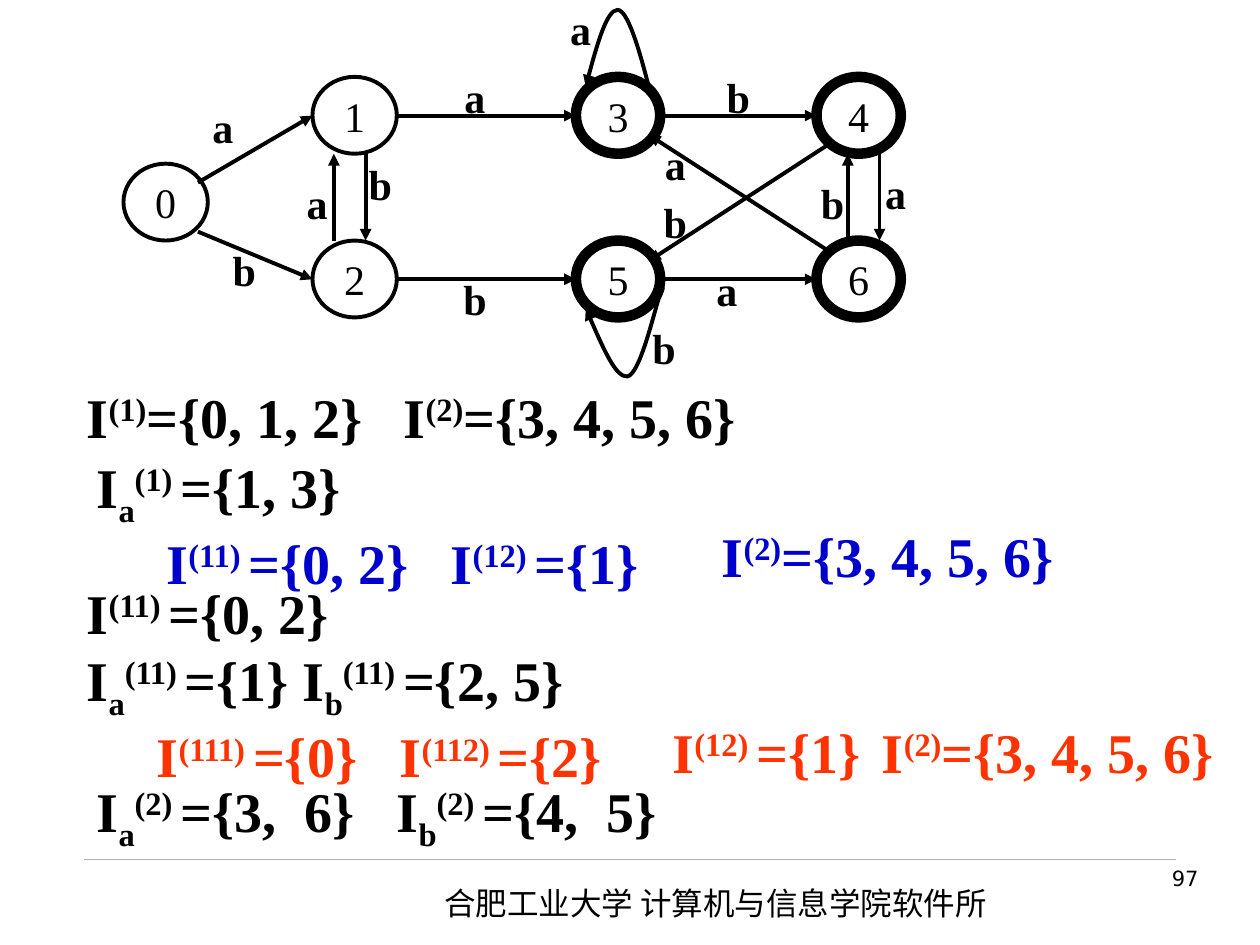
from lxml.etree import SubElement
from pptx import Presentation
from pptx.dml.color import RGBColor
from pptx.enum.shapes import MSO_CONNECTOR, MSO_SHAPE
from pptx.enum.text import MSO_ANCHOR, MSO_AUTO_SIZE, PP_ALIGN
from pptx.oxml.ns import qn
from pptx.util import Cm, Pt

COLORS = {"ink": "000000", "blue": "0000CC", "orange": "FF3300", "rule": "B2B2B2"}
SERIF, SANS, CJK = "Times New Roman", "DejaVu Sans", "Noto Sans CJK SC"

# State graph, in cm from the graph's top left corner
NODE_W, NODE_H = 1.7, 1.55
COLS, ROWS = (0, 3.81, 9.12, 13.97), (1.55, 3.3, 4.85)
STATES = [("0", 0, 1), ("1", 1, 0), ("2", 1, 2), ("3", 2, 0),
          ("5", 2, 2), ("4", 3, 0), ("6", 3, 2)]
ACCEPTING = "3456"
# Start, end, letter, top left of the letter
EDGES = [
    ((1.5, 3.68), (3.81, 2.33), "a", (1.27, 1.96)),
    ((5.51, 2.33), (9.12, 2.33), "a", (6.35, 1.37)),
    ((10.82, 2.33), (13.97, 2.33), "b", (11.66, 1.37)),
    ((1.5, 4.67), (3.81, 5.63), "b", (1.7, 4.85)),
    ((5.51, 5.63), (9.12, 5.63), "b", (6.35, 5.44)),
    ((10.82, 5.63), (13.97, 5.63), "a", (11.43, 5.26)),
    ((4.88, 3.1), (4.88, 4.85), "b", (4.44, 3.12)),
    ((4.24, 4.85), (4.24, 3.1), "a", (3.17, 3.51)),
    ((14.6, 4.85), (14.6, 3.1), "b", (13.56, 3.51)),
    ((15.24, 3.1), (15.24, 4.85), "a", (14.83, 3.3)),
    ((14.2, 2.92), (10.59, 5.26), "b", (10.39, 3.89)),
    ((14.2, 5.05), (10.59, 2.72), "a", (10.39, 2.72)),
]
# Start point followed by Bezier triples, letter, top left of the letter
LOOPS = [
    ([(10.59, 1.75), (10.39, 0.97), (10.16, 0.2), (9.96, 0.2),
      (9.75, 0.2), (9.52, 0.97), (9.32, 1.75)], "a", (8.48, 0)),
    ([(10.79, 5.84), (10.87, 5.79), (10.92, 5.74), (10.79, 6.02),
      (10.69, 6.32), (10.41, 7.54), (10.16, 7.59),
      (9.93, 7.62), (9.63, 6.93), (9.32, 6.22)], "b", (10.16, 6.43)),
]

# Box, tab stops, lines; "|" parts runs, "^" raises a run and "_" lowers it
FORMULAS = [
    ((1.5, 7.59, 14.6, 1.63), (6.39,),
     [("ink", "I|^(1)|={0, 1, 2}\tI|^(2)|={3, 4, 5, 6}")]),
    ((1.7, 8.99, 21.84, 3.15), (1.41, 7.14),
     [("ink", "I|_a|^(1) |={1, 3}"),
      ("blue", "\tI|^(11) |={0, 2}\tI|^(12) |={1}")]),
    ((14.3, 10.39, 7.8, 1.63), (), [("blue", "I|^(2)|={3, 4, 5, 6}")]),
    ((1.5, 11.53, 21.84, 4.52), (1.41, 6.31),
     [("ink", "I|^(11) |={0, 2}"),
      ("ink", "I|_a|^(11) |={1} I|_b|^(11) |={2, 5}"),
      ("orange", "\tI|^(111) |={0}\tI|^(112) |={2}")]),
    ((13.31, 14.33, 11.61, 1.63), (4.22,),
     [("orange", "I|^(12) |={1}\tI|^(2)|={3, 4, 5, 6}")]),
    ((1.7, 15.52, 16, 1.8), (4.19, 6.05, 10.28),
     [("ink", "I|_a|^(2) |={3,\t6}\tI|_b|^(2) |={4,\t5}")]),
]
BASELINES = {"^": "30000", "_": "-25000"}


def rgb(name):
    return RGBColor.from_string(COLORS[name])


def style(r, size, font=SERIF, bold=False, color="ink"):
    r.font.size, r.font.name, r.font.bold = Pt(size), font, bold
    r.font.color.rgb = rgb(color)
    SubElement(r.font._element, qn("a:ea"), typeface=font)


def set_line(sp, width, color="ink", arrow=False):
    sp.line.color.rgb = rgb(color)
    sp.line.width = Pt(width)
    if arrow:
        SubElement(sp.line._get_or_add_ln(), qn("a:tailEnd"), type="triangle")


def add_line(s, start, end, width, color="ink", arrow=False):
    cn = s.shapes.add_connector(MSO_CONNECTOR.STRAIGHT,
                                *(Cm(v) for v in (*start, *end)))
    set_line(cn, width, color, arrow)
    SubElement(cn._element.spPr, qn("a:effectLst"))


def add_text(s, box, text, size, font=SERIF, bold=False, align=PP_ALIGN.LEFT):
    tf = s.shapes.add_textbox(*(Cm(v) for v in box)).text_frame
    tf.word_wrap = True
    p = tf.paragraphs[0]
    p.text, p.alignment = text, align
    style(p.runs[0], size, font, bold)
    return tf


def add_loop(s, points):
    pts = [(Cm(x), Cm(y)) for x, y in points]
    fb = s.shapes.build_freeform(*pts[0])
    fb.add_line_segments(pts[1:], close=False)
    sp = fb.convert_to_shape()
    # Gather each three straight segments into one Bezier curve
    segments = list(sp._element.iter(qn("a:lnTo")))
    outline = segments[0].getparent()
    for i in range(0, len(segments), 3):
        curve = SubElement(outline, qn("a:cubicBezTo"))
        for seg in segments[i:i + 3]:
            curve.append(seg[0])
            outline.remove(seg)
    sp.fill.background()
    sp.shadow.inherit = False
    set_line(sp, 2.25, arrow=True)


def add_state(s, box, name):
    sp = s.shapes.add_shape(MSO_SHAPE.OVAL, *(Cm(v) for v in box))
    sp.fill.background()
    sp.shadow.inherit = False
    set_line(sp, 6 if name in ACCEPTING else 2.25)
    tf = sp.text_frame
    tf.word_wrap, tf.vertical_anchor = False, MSO_ANCHOR.MIDDLE
    p = tf.paragraphs[0]
    p.text, p.alignment = name, PP_ALIGN.CENTER
    style(p.runs[0], 24)


def add_graph(s, left, top):
    def at(point):
        return left + point[0], top + point[1]

    def add_letter(letter, point):
        tf = add_text(s, (*at(point), 1.47, 1.17), letter, 24, bold=True,
                      align=PP_ALIGN.CENTER)
        tf.word_wrap, tf.vertical_anchor = False, MSO_ANCHOR.MIDDLE

    for name, col, row in STATES:
        add_state(s, (*at((COLS[col], ROWS[row])), NODE_W, NODE_H), name)
    for start, end, letter, point in EDGES:
        add_line(s, at(start), at(end), 2.25, arrow=True)
        add_letter(letter, point)
    for points, letter, point in LOOPS:
        add_loop(s, [at(pt) for pt in points])
        add_letter(letter, point)


def add_formulas(s, box, tabs, lines):
    tf = s.shapes.add_textbox(*(Cm(v) for v in box)).text_frame
    tf.word_wrap, tf.auto_size = True, MSO_AUTO_SIZE.SHAPE_TO_FIT_TEXT
    for i, (color, line) in enumerate(lines):
        p = tf.add_paragraph() if i else tf.paragraphs[0]
        if tabs:
            stops = SubElement(p._p.get_or_add_pPr(), qn("a:tabLst"))
            for pos in tabs:
                SubElement(stops, qn("a:tab"), pos=str(Cm(pos)), algn="l")
        for part in line.split("|"):
            r = p.add_run()
            r.text = part.lstrip("^_")
            style(r, 32, bold=True, color=color)
            if part[0] in BASELINES:
                r.font._element.set("baseline", BASELINES[part[0]])


def add_footer(s, left, top, width):
    add_line(s, (left, top), (left + width, top), 0.25, "rule")
    add_text(s, (left + 7.01, top + 0.38, 11.99, 1.02),
             "合肥工业大学 计算机与信息学院软件所", 18, CJK)
    add_text(s, (left + 17.2, top, 5.51, 1.32), "97", 12, SANS,
             align=PP_ALIGN.RIGHT)


def main():
    prs = Presentation()
    prs.slide_width, prs.slide_height = Cm(25.4), Cm(19.05)
    s = prs.slides.add_slide(prs.slide_layouts[6])
    add_footer(s, 1.7, 17.32, 22)
    add_graph(s, 2.49, 0)
    for box, tabs, lines in FORMULAS:
        add_formulas(s, box, tabs, lines)
    prs.save("out.pptx")


if __name__ == "__main__":
    main()
